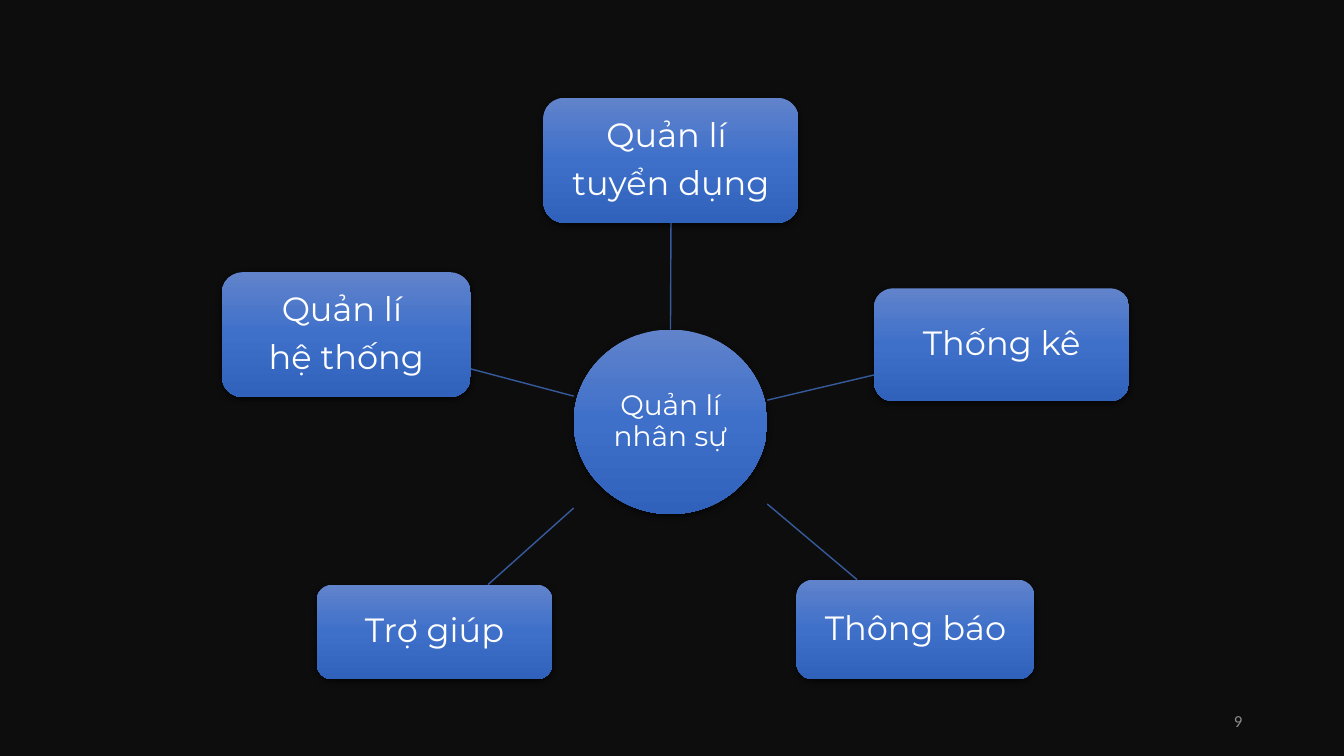
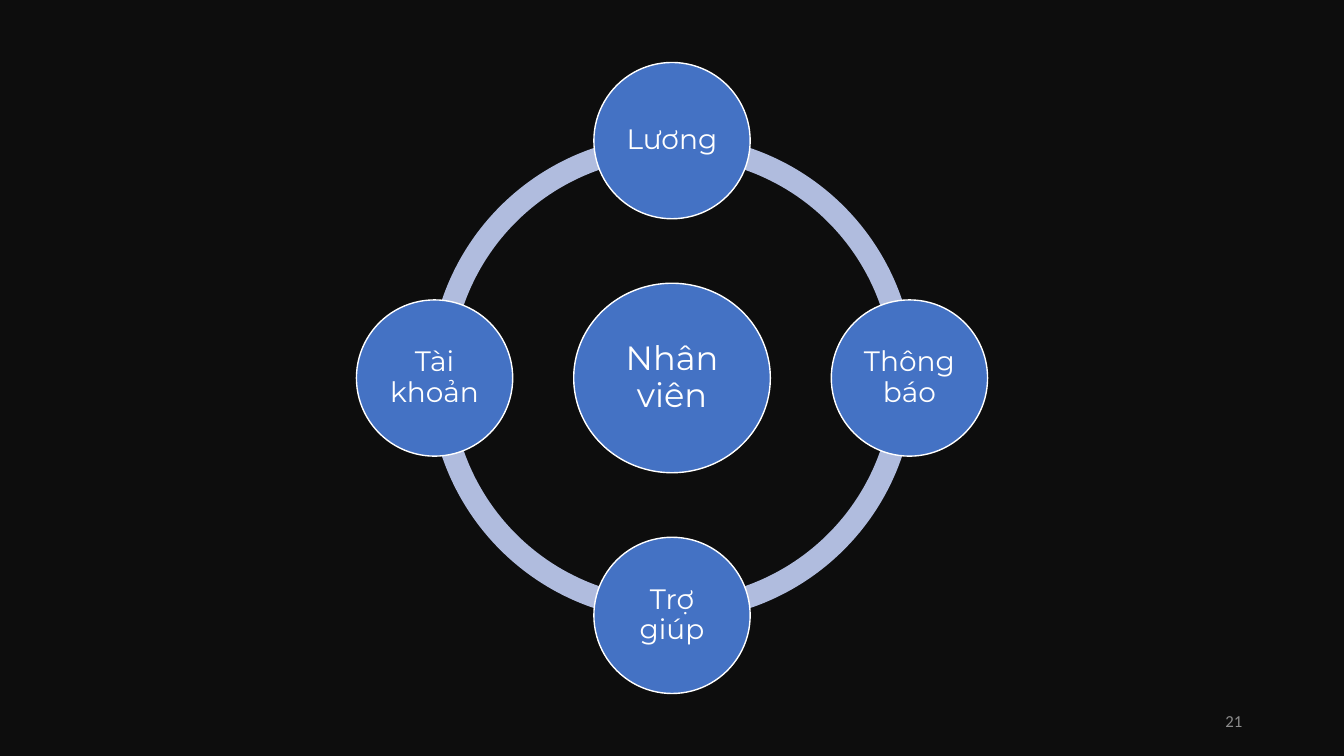
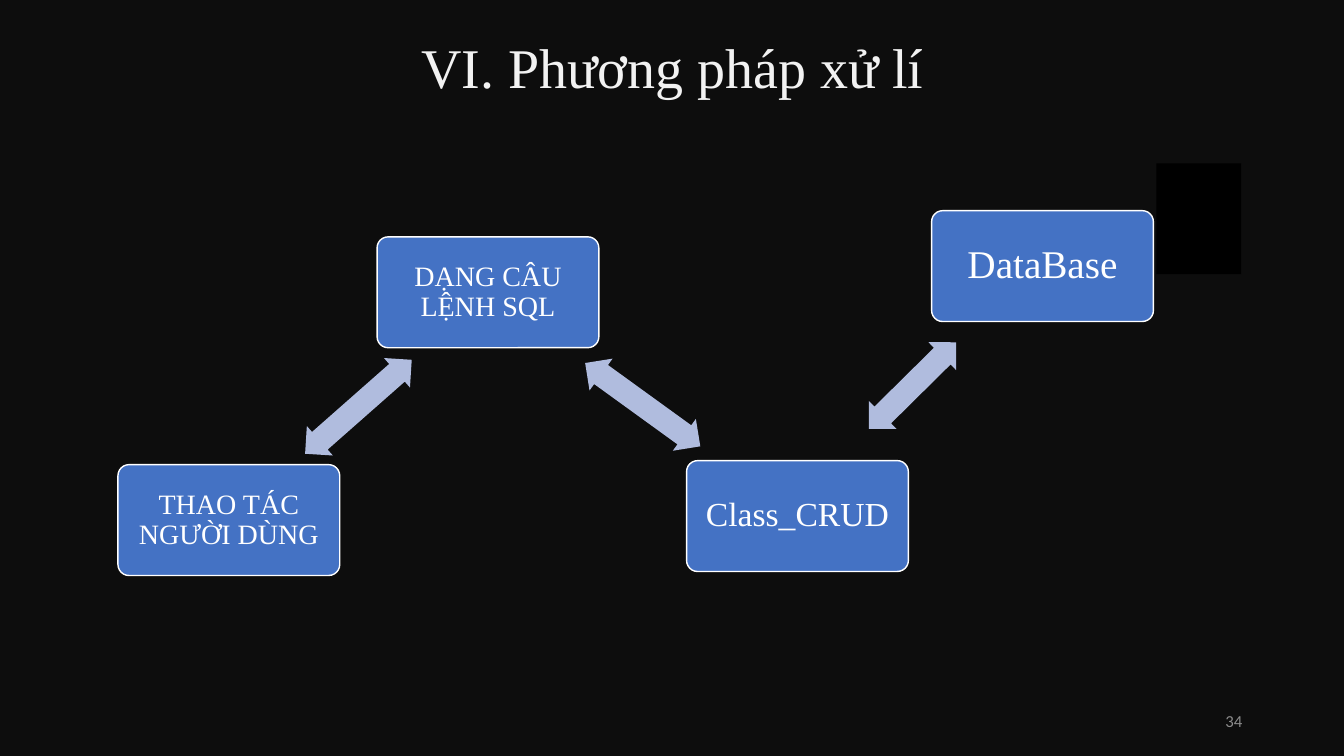
import math
from dataclasses import dataclass
from typing import Any, Optional

from pptx import Presentation
from pptx import util as u
from pptx.dml.color import RGBColor
from pptx.enum import shapes, text
from pptx.oxml import parse_xml
from pptx.oxml.ns import nsdecls, qn

SHAPE = shapes.MSO_SHAPE
ANCHOR = text.MSO_ANCHOR
ALIGN = text.PP_ALIGN


@dataclass(frozen=True)
class Theme:
    background: str = "0D0D0D"
    black: str = "000000"
    white: str = "FFFFFF"
    title: str = "F2F2F2"
    number: str = "8C8C8C"
    blue: str = "4472C4"
    pale: str = "B0BCDE"
    spoke: str = "365B9D"
    gradient: tuple = ((0, "6183CB"), (50, "3E70CA"), (100, "3062BB"))
    sans: str = "Montserrat"
    serif: str = "Times New Roman"
    footer: str = "Calibri"
    small: float = 12
    body: float = 20
    large: float = 24
    huge: float = 28
    heading: float = 40


T = Theme()


@dataclass(frozen=True)
class Node:
    label: str
    x: float
    y: float
    w: float
    h: float
    size: float = T.large
    margin: float = 0.07
    spoke: Optional[tuple] = None


@dataclass(frozen=True)
class Arrow:
    x: float
    y: float
    w: float
    angle: float


HUB = Node("Quản lí nhân sự", 5.69, 3.27, 1.92, 1.83, T.body, 0.06)
MODULES = (
    Node("Quản lí \ntuyển dụng", 5.39, 0.97, 2.53, 1.24),
    Node("Thống kê", 8.67, 2.86, 2.53, 1.12, spoke=(7.61, 3.97, 8.67, 3.72)),
    Node("Thông báo", 7.9, 5.75, 2.36, 0.99, spoke=(7.61, 5, 8.5, 5.75)),
    Node("Trợ giúp", 3.14, 5.8, 2.34, 0.94, spoke=(5.69, 5.04, 4.84, 5.8)),
    Node("Quản lí \nhệ thống", 2.2, 2.7, 2.47, 1.24, spoke=(5.69, 3.93, 4.67, 3.66)),
)

RING_LABELS = ("Lương", "Thông báo", "Trợ giúp", "Tài khoản")
CENTER_X, CENTER_Y = 6.665, 3.75
RING_SIZE, ORBIT, SATELLITE = 4.82, 2.355, 1.55

STEP_W, STEP_H, ARROW_H = 2.2, 1.1, 0.39
STEPS = (
    Node("DẠNG CÂU LỆNH SQL", 3.74, 2.35, STEP_W, STEP_H, T.body, 0.08),
    Node("Class_CRUD", 6.81, 4.57, STEP_W, STEP_H, T.large, 0.1),
    Node("DataBase", 9.24, 2.09, STEP_W, STEP_H, T.huge, 0.12),
    Node("THAO TÁC NGƯỜI DÙNG", 1.17, 4.61, STEP_W, STEP_H, T.body, 0.08),
)
ARROWS = (
    Arrow(5.67, 3.82, 1.41, 35.9),
    Arrow(8.44, 3.63, 1.22, 135.3),
    Arrow(2.85, 3.84, 1.41, 318.6),
)


def rgb(color: str) -> RGBColor:
    return RGBColor.from_string(color)


def apply(obj: Any, **fmt: Any) -> None:
    for name, value in fmt.items():
        setattr(obj, name, value)


def inches(*values: float) -> list:
    return [u.Inches(v) for v in values]


def write(tf: Any, label: str, font: str, size: float, color: str, **fmt: Any) -> None:
    for i, line in enumerate(label.split("\n")):
        p = tf.paragraphs[0] if i == 0 else tf.add_paragraph()
        apply(p, **fmt)
        r = p.add_run()
        r.text = line
        apply(r.font, name=font, size=u.Pt(size))
        r.font.color.rgb = rgb(color)


def add_plain(s: Any, kind: Any, x: float, y: float, w: float, h: float, color: str) -> Any:
    sp = s.shapes.add_shape(kind, *inches(x, y, w, h))
    sp.shadow.inherit = False
    sp.fill.solid()
    sp.fill.fore_color.rgb = rgb(color)
    sp.line.fill.background()
    return sp


def add_node(s: Any, kind: Any, n: Node, font: str) -> Any:
    sp = add_plain(s, kind, n.x, n.y, n.w, n.h, T.blue)
    tf = sp.text_frame
    apply(tf, word_wrap=True, vertical_anchor=ANCHOR.MIDDLE)
    apply(tf, **{f"margin_{side}": u.Inches(n.margin)
                 for side in ("left", "right", "top", "bottom")})
    write(tf, n.label, font, n.size, T.white, alignment=ALIGN.CENTER,
          line_spacing=0.9, space_after=u.Pt(0.35 * n.size))
    return sp


def outline(sp: Any) -> None:
    sp.line.color.rgb = rgb(T.white)
    sp.line.width = u.Pt(1)


def add_gloss(sp: Any) -> None:
    sp.fill.gradient()
    sp.fill.gradient_angle = 270
    pr = sp._element.spPr
    stops = pr.find(".//" + qn("a:gsLst"))
    for gs in list(stops):
        stops.remove(gs)
    for pos, color in T.gradient:
        stops.append(parse_xml(
            f'<a:gs {nsdecls("a")} pos="{pos * 1000}"><a:srgbClr val="{color}"/></a:gs>'))
    pr.find(qn("a:effectLst")).append(parse_xml(
        f'<a:outerShdw {nsdecls("a")} blurRad="{u.Pt(4.5)}" dist="{u.Pt(1.5)}" '
        f'dir="5400000" algn="ctr" rotWithShape="0"><a:srgbClr val="{T.black}">'
        '<a:alpha val="63000"/></a:srgbClr></a:outerShdw>'))


def add_spoke(s: Any, hub: Any, box: Any, ends: Optional[tuple]) -> None:
    c = s.shapes.add_connector(shapes.MSO_CONNECTOR.STRAIGHT, *inches(*(ends or (0,) * 4)))
    if ends is None:
        c.begin_connect(hub, 0)
        c.end_connect(box, 2)
    c.line.color.rgb = rgb(T.spoke)
    c.line.width = u.Pt(1)
    c._element.spPr.append(parse_xml(f'<a:effectLst {nsdecls("a")}/>'))


def add_slide(prs: Any, layout: int, number: int) -> Any:
    s = prs.slides.add_slide(prs.slide_layouts[layout])
    tf = s.shapes.add_textbox(*inches(9.42, 6.95, 3, 0.4)).text_frame
    apply(tf, word_wrap=True, vertical_anchor=ANCHOR.MIDDLE)
    write(tf, str(number), T.footer, T.small, T.number, alignment=ALIGN.RIGHT)
    return s


def build_modules(prs: Any) -> None:
    s = add_slide(prs, 6, 9)
    hub = add_node(s, SHAPE.FLOWCHART_CONNECTOR, HUB, T.sans)
    add_gloss(hub)
    for n in MODULES:
        box = add_node(s, SHAPE.ROUNDED_RECTANGLE, n, T.sans)
        add_gloss(box)
        add_spoke(s, hub, box, n.spoke)


def build_ring(prs: Any) -> None:
    s = add_slide(prs, 6, 21)
    quarter = 54
    for i in range(4):
        arc = add_plain(s, SHAPE.BLOCK_ARC, CENTER_X - RING_SIZE / 2,
                        CENTER_Y - RING_SIZE / 2, RING_SIZE, RING_SIZE, T.pale)
        for k, value in enumerate((i * quarter, (i + 1) % 4 * quarter, 0.046)):
            arc.adjustments[k] = value
    nodes = [Node("Nhân viên", 5.69, 2.81, 1.95, 1.88, T.large, 0.03)]
    for i, label in enumerate(RING_LABELS):
        angle = i * math.pi / 2
        nodes.append(Node(label, CENTER_X + ORBIT * math.sin(angle) - SATELLITE / 2,
                          CENTER_Y - ORBIT * math.cos(angle) - SATELLITE / 2,
                          SATELLITE, SATELLITE, T.body, 0.03))
    for n in nodes:
        outline(add_node(s, SHAPE.OVAL, n, T.sans))


def build_process(prs: Any) -> None:
    s = add_slide(prs, 5, 34)
    title = s.shapes.title
    apply(title, **dict(zip(("left", "top", "width", "height"), inches(4.05, 0.27, 5.24, 0.77))))
    apply(title.text_frame, word_wrap=False, vertical_anchor=ANCHOR.TOP,
          auto_size=text.MSO_AUTO_SIZE.SHAPE_TO_FIT_TEXT)
    write(title.text_frame, "VI. Phương pháp xử lí", T.serif, T.heading, T.title,
          alignment=ALIGN.CENTER)
    for n in STEPS:
        box = add_node(s, SHAPE.ROUNDED_RECTANGLE, n, T.serif)
        box.adjustments[0] = 0.1
        outline(box)
    for a in ARROWS:
        sp = add_plain(s, SHAPE.LEFT_RIGHT_ARROW, a.x, a.y, a.w, ARROW_H, T.pale)
        sp.rotation = a.angle
        sp.adjustments[0], sp.adjustments[1] = 0.6, 0.5
    add_plain(s, SHAPE.RECTANGLE, 11.47, 1.62, 0.84, 1.1, T.black)


def main() -> None:
    prs = Presentation()
    apply(prs, slide_width=u.Inches(13.33), slide_height=u.Inches(7.5))
    fill = prs.slide_master.background.fill
    fill.solid()
    fill.fore_color.rgb = rgb(T.background)
    for build in (build_modules, build_ring, build_process):
        build(prs)
    prs.save("out.pptx")


if __name__ == "__main__":
    main()
